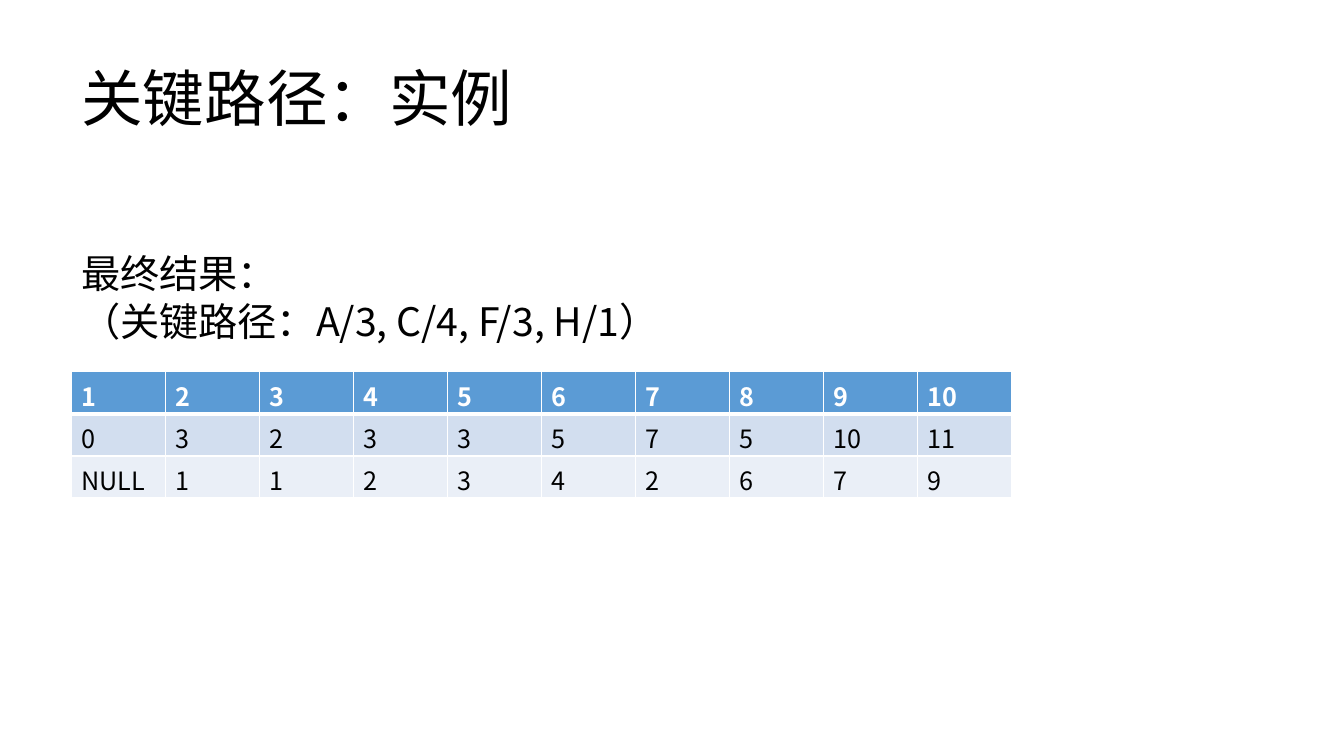
from dataclasses import dataclass

from lxml.etree import SubElement
from pptx import Presentation
from pptx.dml.color import RGBColor
from pptx.enum.text import MSO_ANCHOR as Anchor, MSO_AUTO_SIZE as AutoSize
from pptx.oxml import parse_xml
from pptx.oxml.ns import nsdecls, qn
from pptx.slide import Slide
from pptx.table import _Cell as Cell
from pptx.text.text import _Paragraph as Paragraph
from pptx.util import Cm, Pt

CJK_FONT = "Noto Sans CJK SC"
BLACK = "000000"
WHITE = "FFFFFF"
LEFT = 1.8
COLUMN_WIDTH = 2.37
ROW_HEIGHT = 1.06


@dataclass(frozen=True)
class TextBlock:
    lines: tuple[str, ...]
    top: float
    width: float
    height: float
    size: int
    font_name: str
    anchor: Anchor
    auto_size: AutoSize
    wrap: bool
    line_spacing: float


@dataclass(frozen=True)
class TableRow:
    values: tuple[str, ...]
    fill: str
    color: str = BLACK
    bold: bool = False
    top_border: int = 1
    bottom_border: int = 1


TEXT_BLOCKS = (
    TextBlock(("关键路径：实例",), 0.71, 29.21, 3.68, 44, "Arial",
              Anchor.MIDDLE, AutoSize.NONE, True, 0.9),
    TextBlock(("最终结果：", "（关键路径：A/3, C/4, F/3, H/1）"), 6.17, 15.6, 2.64, 28,
              CJK_FONT, Anchor.TOP, AutoSize.SHAPE_TO_FIT_TEXT, False, 1.0),
)

TABLE_ROWS = (
    TableRow(("1", "2", "3", "4", "5", "6", "7", "8", "9", "10"), "5B9BD5",
             color=WHITE, bold=True, bottom_border=3),
    TableRow(("0", "3", "2", "3", "3", "5", "7", "5", "10", "11"), "D2DEEF",
             top_border=3),
    TableRow(("NULL", "1", "1", "2", "3", "4", "2", "6", "7", "9"), "EAEFF7"),
)


def rgb(value: str) -> RGBColor:
    return RGBColor.from_string(value)


def set_font(paragraph: Paragraph, name: str, size: int, color: str,
             bold: bool = False) -> None:
    font = paragraph.font
    font.name = name
    font.size = Pt(size)
    font.bold = bold
    font.color.rgb = rgb(color)
    properties = paragraph._p.pPr.find(qn("a:defRPr"))
    SubElement(properties, qn("a:ea")).set("typeface", CJK_FONT)


def add_text(slide: Slide, block: TextBlock) -> None:
    shape = slide.shapes.add_textbox(
        Cm(LEFT), Cm(block.top), Cm(block.width), Cm(block.height))
    frame = shape.text_frame
    frame.text = "\n".join(block.lines)
    frame.word_wrap = block.wrap
    frame.auto_size = block.auto_size
    frame.vertical_anchor = block.anchor
    for paragraph in frame.paragraphs:
        paragraph.line_spacing = block.line_spacing
        set_font(paragraph, block.font_name, block.size, BLACK)


def set_borders(cell: Cell, top: int, bottom: int) -> None:
    properties = cell._tc.get_or_add_tcPr()
    widths = {"lnL": 1, "lnR": 1, "lnT": top, "lnB": bottom}
    for position, (side, width) in enumerate(widths.items()):
        properties.insert(position, parse_xml(
            f'<a:{side} {nsdecls("a")} w="{Pt(width)}"><a:solidFill>'
            f'<a:srgbClr val="{WHITE}"/></a:solidFill></a:{side}>'))


def add_result_table(slide: Slide, rows: tuple[TableRow, ...]) -> None:
    column_count = len(rows[0].values)
    table = slide.shapes.add_table(
        len(rows), column_count, Cm(LEFT), Cm(9.37),
        Cm(COLUMN_WIDTH * column_count), Cm(ROW_HEIGHT * len(rows))).table
    for column in table.columns:
        column.width = Cm(COLUMN_WIDTH)
    for row_index, row in enumerate(rows):
        table.rows[row_index].height = Cm(ROW_HEIGHT)
        for column_index, value in enumerate(row.values):
            cell = table.cell(row_index, column_index)
            cell.text = value
            cell.fill.solid()
            cell.fill.fore_color.rgb = rgb(row.fill)
            set_borders(cell, row.top_border, row.bottom_border)
            set_font(cell.text_frame.paragraphs[0], CJK_FONT, 18, row.color, row.bold)


def main() -> None:
    presentation = Presentation()
    presentation.slide_width = Cm(33.87)
    presentation.slide_height = Cm(19.05)
    slide = presentation.slides.add_slide(presentation.slide_layouts[6])
    for block in TEXT_BLOCKS:
        add_text(slide, block)
    add_result_table(slide, TABLE_ROWS)
    presentation.save("out.pptx")


if __name__ == "__main__":
    main()
